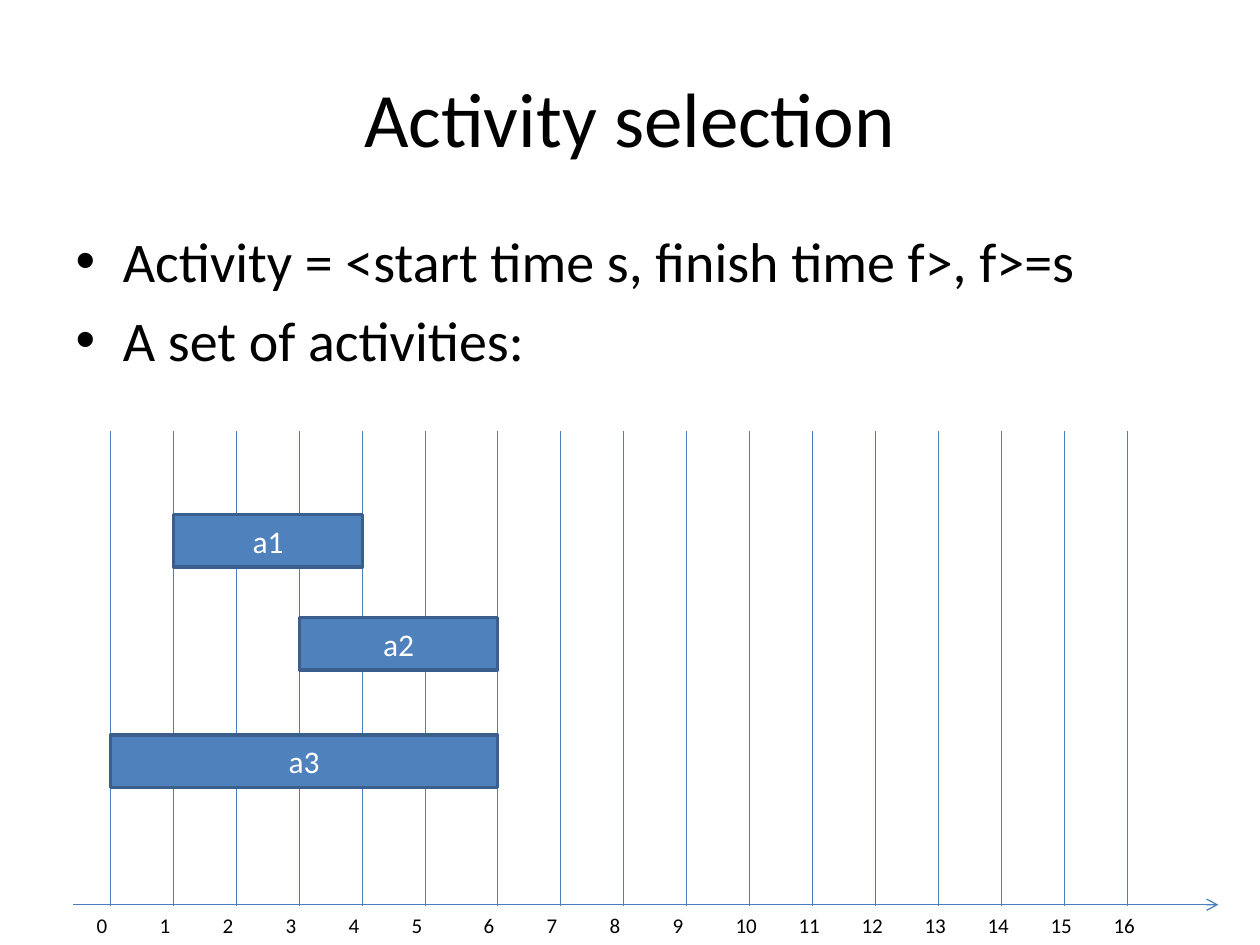
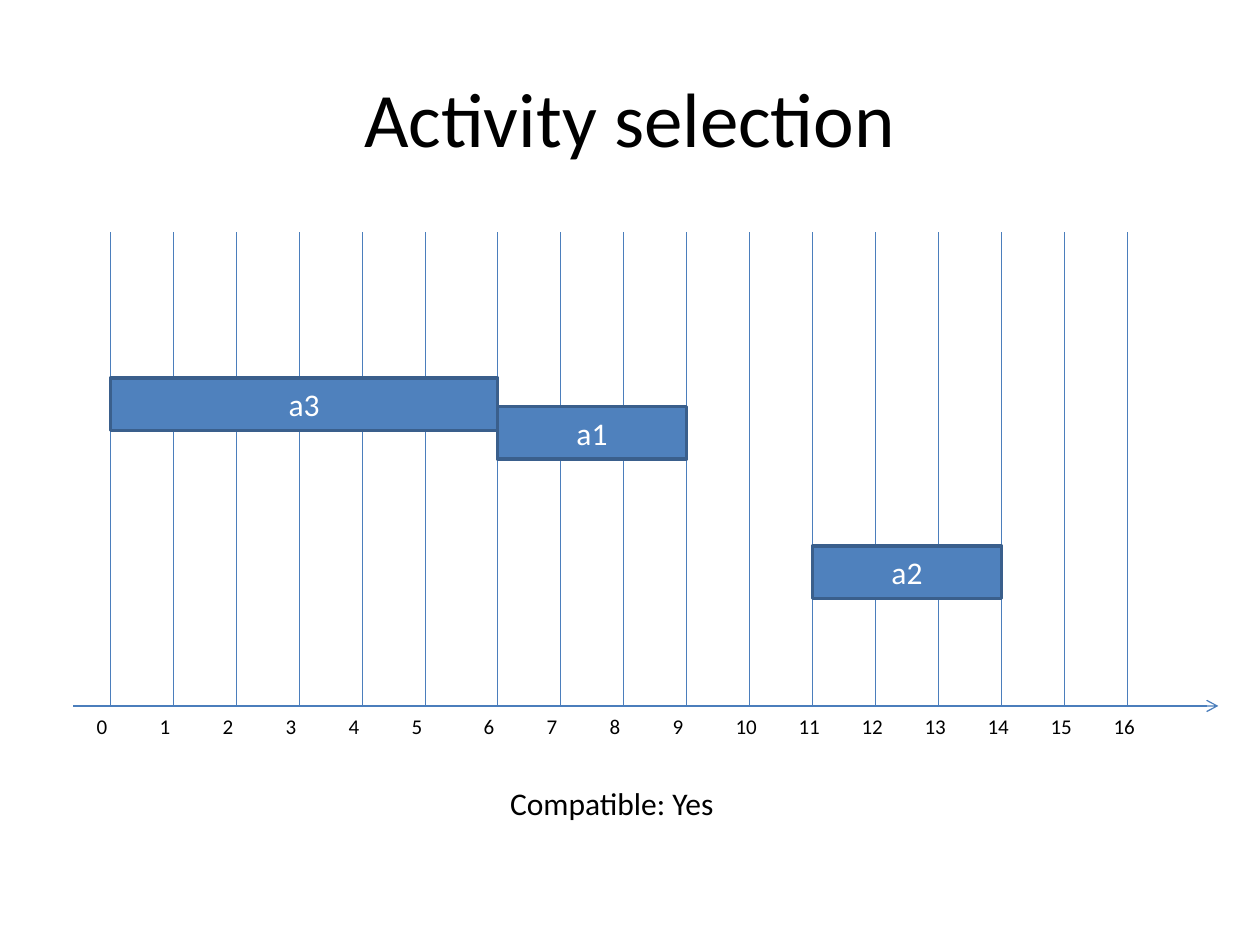
from lxml import etree
from pptx import Presentation
from pptx.dml.color import RGBColor
from pptx.enum import shapes, text
from pptx.oxml.ns import qn
from pptx.util import Pt

BLACK = RGBColor(0x00, 0x00, 0x00)
WHITE = RGBColor(0xFF, 0xFF, 0xFF)
BAR_FILL = RGBColor(0x4F, 0x81, 0xBD)
BAR_EDGE = RGBColor(0x3A, 0x5F, 0x8C)
RULE = RGBColor(0x4B, 0x7E, 0xBC)
FACE = "Calibri"

TITLE = "Activity selection"
# Bars: name, start time, finish time, top
SLIDES = [
    {
        "points": ["Activity = <start time s, finish time f>, f>=s",
                   "A set of activities:"],
        "axis": 517,
        "bars": [("a1", 1, 4, 294), ("a2", 3, 6, 353), ("a3", 0, 6, 420)],
    },
    {
        "axis": 403.4,
        "bars": [("a1", 6, 9, 232.3), ("a2", 11, 14, 312), ("a3", 0, 6, 216)],
        "verdict": "Compatible: Yes",
    },
]

TITLE_BOX = (36, 21.6, 648, 90)
POINTS_BOX = (36, 126, 648, 356.4)
VERDICT_BOX = (284.4, 444.4, 144, 30)
LAST_TIME = 16
TIME_ZERO, TIME_STEP = 63.2, 36
WIDE_STEP, WIDE_EXTRA = 6, 5.1
AXIS_LEFT, AXIS_RIGHT = 41.8, 696.2
GRID_HEIGHT = 270.8
BAR_HEIGHT = 30
LABEL_WIDTH, LABEL_HEIGHT = 30.2, 15.2

TITLE_FONT = {"size": Pt(44), "name": FACE}
POINT_FONT = {"size": Pt(32), "name": FACE}
NOTE_FONT = {"size": Pt(18), "name": FACE}
TIME_FONT = {"size": Pt(12), "name": FACE}


def time_x(time):
    """Horizontal place of a time; the step that ends at 6 is wider."""
    extra = WIDE_EXTRA if time >= WIDE_STEP else 0
    return TIME_ZERO + time * TIME_STEP + extra


def format_font(paragraph, font_format, color=BLACK):
    for attribute, value in font_format.items():
        setattr(paragraph.font, attribute, value)
    paragraph.font.color.rgb = color


def place(placeholder, box):
    for side, value in zip(("left", "top", "width", "height"), box):
        setattr(placeholder, side, Pt(value))


def add_rule(parent, x1, y1, x2, y2, arrow=False):
    rule = parent.add_connector(shapes.MSO_CONNECTOR.STRAIGHT,
                                Pt(x1), Pt(y1), Pt(x2), Pt(y2))
    rule.line.color.rgb = RULE
    rule.line.width = Pt(0.75)
    properties = rule._element.spPr
    if arrow:
        etree.SubElement(properties.find(qn("a:ln")), qn("a:tailEnd"), type="arrow")
    etree.SubElement(properties, qn("a:effectLst"))


def add_text(parent, wording, box, font_format):
    frame = parent.add_textbox(*map(Pt, box)).text_frame
    frame.word_wrap = True
    frame.auto_size = text.MSO_AUTO_SIZE.SHAPE_TO_FIT_TEXT
    frame.text = wording
    format_font(frame.paragraphs[0], font_format)


def add_timeline(slide, axis):
    timeline = slide.shapes.add_group_shape().shapes
    add_rule(timeline, AXIS_LEFT, axis, AXIS_RIGHT, axis, arrow=True)
    for time in range(LAST_TIME + 1):
        x = time_x(time)
        add_rule(timeline, x, axis - GRID_HEIGHT, x, axis + 0.8)
        add_text(timeline, str(time),
                 (x - LABEL_WIDTH / 2, axis + 1, LABEL_WIDTH, LABEL_HEIGHT),
                 TIME_FONT)


def add_bar(slide, name, start, finish, top):
    left = time_x(start)
    bar = slide.shapes.add_shape(
        shapes.MSO_SHAPE.RECTANGLE,
        Pt(left), Pt(top), Pt(time_x(finish) - left), Pt(BAR_HEIGHT))
    bar.shadow.inherit = False
    bar.fill.solid()
    bar.fill.fore_color.rgb = BAR_FILL
    bar.line.color.rgb = BAR_EDGE
    bar.line.width = Pt(2)
    frame = bar.text_frame
    frame.text = name
    frame.vertical_anchor = text.MSO_ANCHOR.MIDDLE
    frame.paragraphs[0].alignment = text.PP_ALIGN.CENTER
    format_font(frame.paragraphs[0], NOTE_FONT, WHITE)


def add_title(slide):
    title = slide.shapes.title
    place(title, TITLE_BOX)
    title.text_frame.text = TITLE
    title.text_frame.vertical_anchor = text.MSO_ANCHOR.MIDDLE
    title.text_frame.paragraphs[0].alignment = text.PP_ALIGN.CENTER
    format_font(title.text_frame.paragraphs[0], TITLE_FONT)


def add_points(slide, points):
    body = slide.placeholders[1]
    place(body, POINTS_BOX)
    body.text_frame.text = "\n".join(points)
    for paragraph in body.text_frame.paragraphs:
        format_font(paragraph, POINT_FONT)
    body.text_frame.paragraphs[0].space_before = Pt(0)


def main():
    deck = Presentation()
    deck.slide_width, deck.slide_height = Pt(720), Pt(540)
    title_and_body, title_only = deck.slide_layouts[1], deck.slide_layouts[5]
    for content in SLIDES:
        layout = title_and_body if "points" in content else title_only
        slide = deck.slides.add_slide(layout)
        add_title(slide)
        if "points" in content:
            add_points(slide, content["points"])
        add_timeline(slide, content["axis"])
        for bar in content["bars"]:
            add_bar(slide, *bar)
        if "verdict" in content:
            add_text(slide.shapes, content["verdict"], VERDICT_BOX, NOTE_FONT)
    deck.save("out.pptx")


if __name__ == "__main__":
    main()
